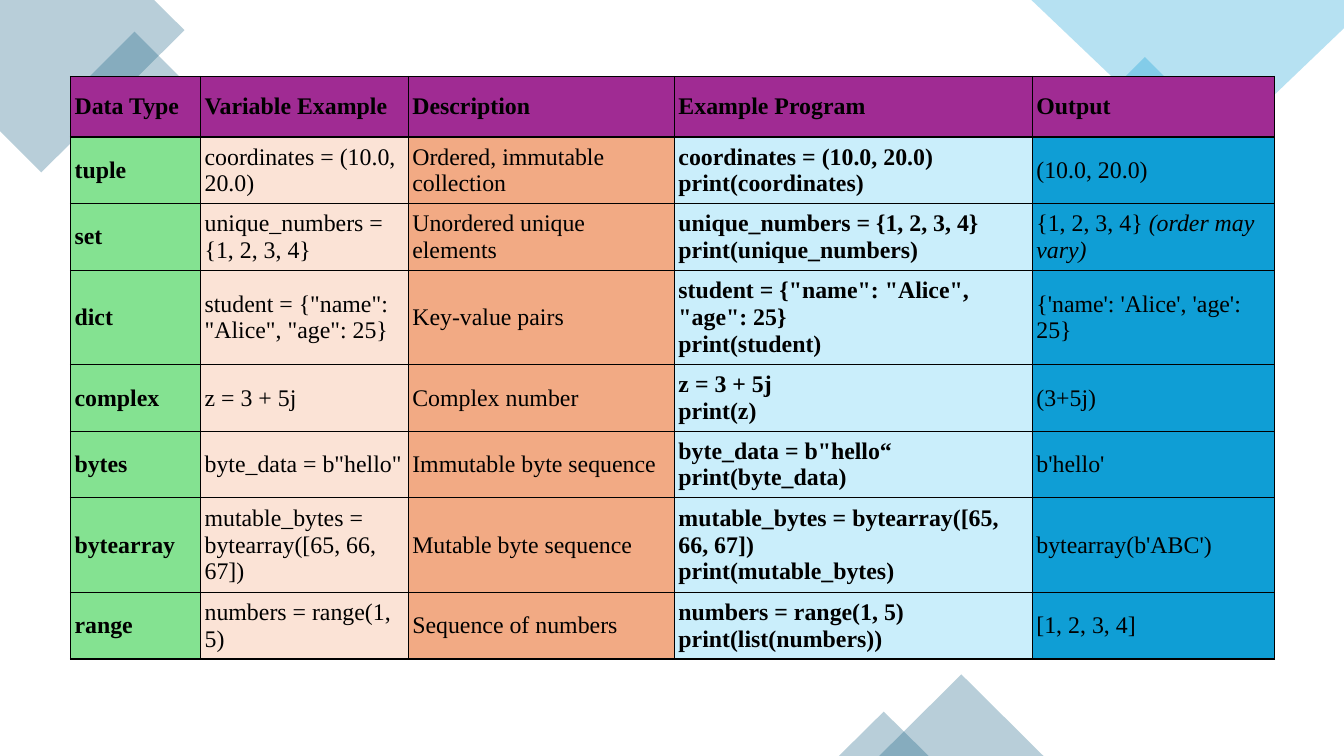
from lxml import etree
from pptx import Presentation
from pptx.dml.color import RGBColor
from pptx.enum.shapes import MSO_SHAPE
from pptx.enum.text import MSO_ANCHOR
from pptx.oxml.ns import qn
from pptx.util import Inches, Pt

RECT = MSO_SHAPE.RECTANGLE
TRIANGLE = MSO_SHAPE.ISOSCELES_TRIANGLE
MIDDLE = MSO_ANCHOR.MIDDLE

COLORS = {
    "black": "000000", "teal": "156082", "blue": "0F9ED5", "purple": "A02B93",
    "green": "84E291", "peach": "FBE3D6", "orange": "F2AA84", "sky": "CAEEFB",
}
COLUMN_FILLS = ["green", "peach", "orange", "sky", "blue"]
BOLD_COLUMNS = {0, 3}
COLUMN_WIDTHS = [1.29, 2.06, 2.64, 3.55, 2.4]
ROW_HEIGHTS = [0.6, 0.66, 0.66, 0.94, 0.66, 0.66, 0.94, 0.66]

HEADER = ["Data Type", "Variable Example", "Description", "Example Program", "Output"]
# A line break starts a new paragraph; a tuple holds plain text and its italic ending.
ROWS = [
    ["tuple", "coordinates = (10.0, 20.0)", "Ordered, immutable collection",
     "coordinates = (10.0, 20.0)\nprint(coordinates)", "(10.0, 20.0)"],
    ["set", "unique_numbers = {1, 2, 3, 4}", "Unordered unique elements",
     "unique_numbers = {1, 2, 3, 4}\nprint(unique_numbers)",
     ("{1, 2, 3, 4} ", "(order may vary)")],
    ["dict", 'student = {"name": "Alice", "age": 25}', "Key-value pairs",
     'student = {"name": "Alice", "age": 25}\nprint(student)',
     "{'name': 'Alice', 'age': 25}"],
    ["complex", "z = 3 + 5j", "Complex number", "z = 3 + 5j\nprint(z)", "(3+5j)"],
    ["bytes", 'byte_data = b"hello"', "Immutable byte sequence",
     'byte_data = b"hello“\nprint(byte_data)', "b'hello'"],
    ["bytearray", "mutable_bytes = bytearray([65, 66, 67])", "Mutable byte sequence",
     "mutable_bytes = bytearray([65, 66, 67])\nprint(mutable_bytes)",
     "bytearray(b'ABC')"],
    ["range", "numbers = range(1, 5)", "Sequence of numbers",
     "numbers = range(1, 5)\nprint(list(numbers))", "[1, 2, 3, 4]"],
]


def rgb(color):
    return RGBColor.from_string(COLORS[color])


class SlideBuilder:
    font = "Times New Roman"
    size = 17
    opacity = 30

    def __init__(self, slide):
        self.slide = slide

    def tint(self, sp, color):
        """Give a shape a translucent fill and no line or shadow."""
        sp.shadow.inherit = False
        sp.line.fill.background()
        sp.fill.solid()
        sp.fill.fore_color.rgb = rgb(color)
        clr = sp.fill._xPr.find(qn("a:solidFill"))[0]
        etree.SubElement(clr, qn("a:alpha"), val=str(self.opacity * 1000))

    def shape(self, kind, left, top, width, height, color, rotation=0):
        sp = self.slide.shapes.add_shape(
            kind, Inches(left), Inches(top), Inches(width), Inches(height))
        sp.rotation = rotation
        self.tint(sp, color)

    def polygon(self, points, color):
        start, *rest = [(Inches(x), Inches(y)) for x, y in points]
        builder = self.slide.shapes.build_freeform(*start, scale=1.0)
        builder.add_line_segments(rest, close=True)
        self.tint(builder.convert_to_shape(), color)

    def borders(self, cell):
        tcPr = cell._tc.get_or_add_tcPr()
        for i, side in enumerate(("lnL", "lnR", "lnT", "lnB")):
            ln = etree.Element(qn(f"a:{side}"), w=str(Pt(1)))
            fill = etree.SubElement(ln, qn("a:solidFill"))
            etree.SubElement(fill, qn("a:srgbClr"), val=COLORS["black"])
            tcPr.insert(i, ln)

    def cell(self, cell, content, color, bold):
        cell.fill.solid()
        cell.fill.fore_color.rgb = rgb(color)
        cell.vertical_anchor = MIDDLE
        cell.margin_left = cell.margin_right = Inches(0.04)
        cell.margin_top = cell.margin_bottom = Inches(0.02)
        self.borders(cell)
        text, italic = content if isinstance(content, tuple) else (content, "")
        tf = cell.text_frame
        tf.text = text
        if italic:
            r = tf.paragraphs[-1].add_run()
            r.text = italic
            r.font.italic = True
        for p in tf.paragraphs:
            p.font.name = self.font
            p.font.size = Pt(self.size)
            p.font.bold = bold
            p.font.color.rgb = rgb("black")

    def table(self, left, top):
        frame = self.slide.shapes.add_table(
            len(ROW_HEIGHTS), len(COLUMN_WIDTHS), Inches(left), Inches(top),
            Inches(sum(COLUMN_WIDTHS)), Inches(sum(ROW_HEIGHTS)))
        table = frame.table
        table.first_row = table.horz_banding = False
        for column, width in zip(table.columns, COLUMN_WIDTHS):
            column.width = Inches(width)
        for row, height in zip(table.rows, ROW_HEIGHTS):
            row.height = Inches(height)
        for i, row in enumerate([HEADER] + ROWS):
            for j, content in enumerate(row):
                is_header = i == 0
                color = "purple" if is_header else COLUMN_FILLS[j]
                self.cell(table.cell(i, j), content, color,
                          is_header or j in BOLD_COLUMNS)


def main():
    prs = Presentation()
    prs.slide_width, prs.slide_height = Inches(13.33), Inches(7.5)
    s = SlideBuilder(prs.slides.add_slide(prs.slide_layouts[6]))
    s.polygon([(1.53, 0), (0, 0), (0, 1.3), (0.41, 1.71), (1.83, 0.3)], "teal")
    s.shape(RECT, 0.98, 0.46, 0.71, 0.71, "teal", rotation=315)
    s.shape(RECT, 10.98, 0.72, 0.75, 0.75, "blue", rotation=315)
    s.polygon([(13.33, 0), (10.23, 0), (11.93, 1.62), (13.33, 0.28)], "blue")
    s.shape(TRIANGLE, 8.72, 6.69, 1.63, 0.81, "teal")
    s.shape(TRIANGLE, 8.32, 7.06, 0.89, 0.44, "teal")
    s.table(0.7, 0.76)
    prs.save("out.pptx")


if __name__ == "__main__":
    main()
